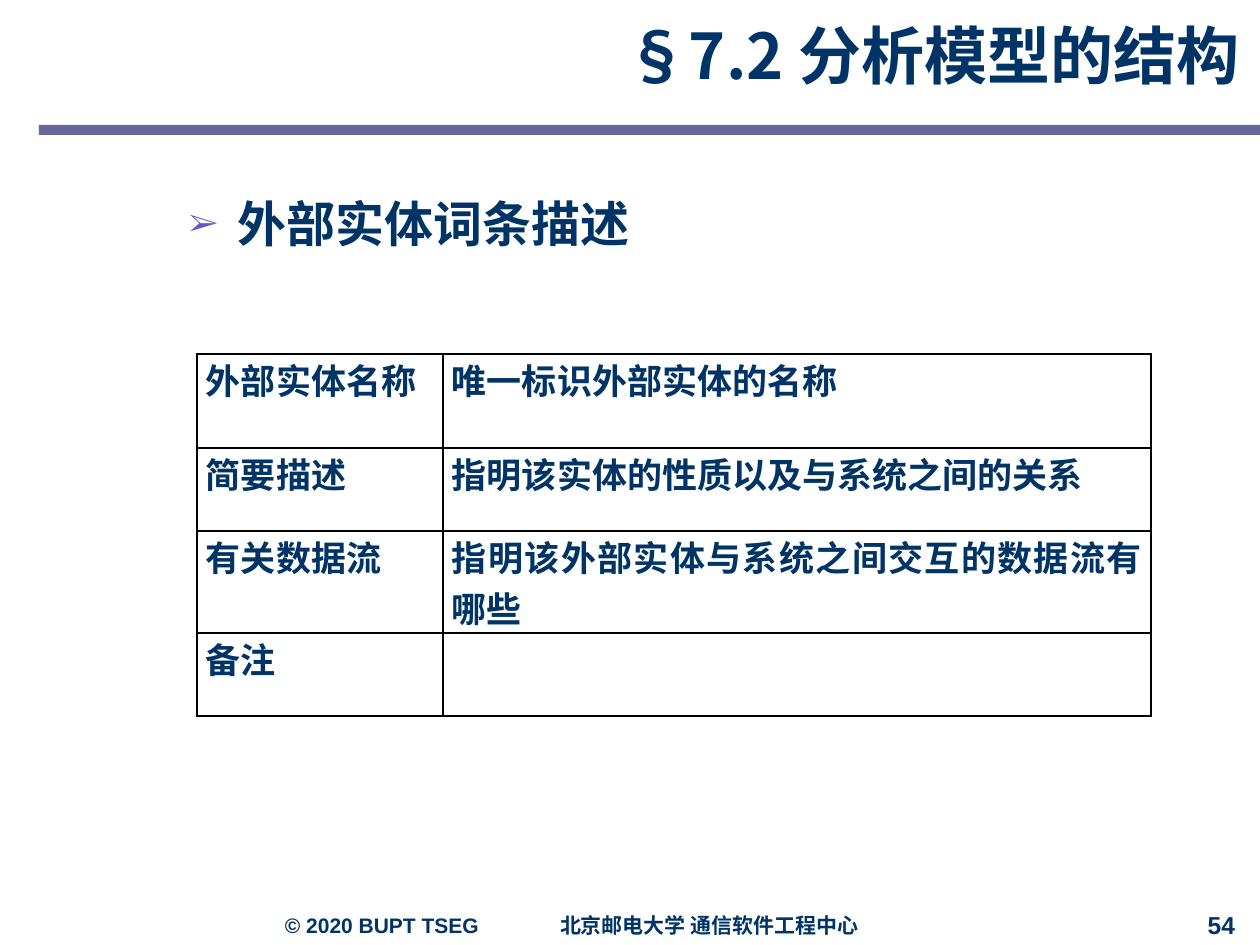
from dataclasses import dataclass

from lxml import etree
from pptx import Presentation
from pptx import util as u
from pptx.dml.color import RGBColor
from pptx.enum import shapes, text
from pptx.oxml.ns import qn

SCALE = u.Inches(1) // 126  # EMU in one px


@dataclass(frozen=True)
class Theme:
    ink: str = "003366"
    bar: str = "666699"
    bullet: str = "6655CD"
    border: str = "000000"
    chinese: str = "Noto Sans CJK SC"
    latin: str = "Arial"
    symbol: str = "Times New Roman"
    title: int = 36
    body: int = 28
    table: int = 20
    number: int = 14
    footer: int = 12


THEME = Theme()
ALIGN = text.PP_ALIGN
ENTRIES = [
    ("外部实体名称", "唯一标识外部实体的名称"),
    ("简要描述", "指明该实体的性质以及与系统之间的关系"),
    ("有关数据流", "指明该外部实体与系统之间交互的数据流有哪些"),
    ("备注", ""),
]


def px(value):
    return u.Emu(value * SCALE)


def add_child(parent, tag, **attributes):
    return etree.SubElement(parent, qn(tag), attributes)


def add_color(parent, color):
    add_child(parent, "a:srgbClr", val=color)


def style(paragraph, size, face=THEME.chinese, align=ALIGN.LEFT, spacing=None):
    paragraph.alignment = align
    paragraph.line_spacing = spacing
    for run in paragraph.runs:
        font = run.font
        font.size, font.bold, font.name = u.Pt(size), True, face
        font.color.rgb = RGBColor.from_string(THEME.ink)
        add_child(font._element, "a:ea", typeface=THEME.chinese)


def set_margins(target, left, top, right, bottom):
    target.margin_left, target.margin_top = px(left), px(top)
    target.margin_right, target.margin_bottom = px(right), px(bottom)


def add_text(slide, box, words, margins=(13, 6, 13, 6),
             anchor=text.MSO_ANCHOR.MIDDLE):
    frame = slide.shapes.add_textbox(*map(px, box)).text_frame
    frame.word_wrap = True
    frame.vertical_anchor = anchor
    set_margins(frame, *margins)
    frame.text = words
    return frame.paragraphs[0]


def add_bar(slide, box):
    bar = slide.shapes.add_shape(shapes.MSO_SHAPE.RECTANGLE, *map(px, box))
    bar.shadow.inherit = False
    bar.fill.solid()
    bar.fill.fore_color.rgb = RGBColor.from_string(THEME.bar)
    bar.line.fill.background()


def add_bullet(paragraph, indent, hanging):
    properties = paragraph._p.get_or_add_pPr()
    properties.set("marL", str(px(indent)))
    properties.set("indent", str(-px(hanging)))
    add_color(add_child(properties, "a:buClr"), THEME.bullet)
    add_child(properties, "a:buSzPct", val="65000")
    add_child(properties, "a:buFont", typeface=THEME.symbol)
    add_child(properties, "a:buChar", char="➢")


def add_tab_stop(paragraph, position):
    tabs = add_child(paragraph._p.get_or_add_pPr(), "a:tabLst")
    add_child(tabs, "a:tab", pos=str(px(position)), algn="l")


def add_borders(cell):
    properties = cell._tc.get_or_add_tcPr()
    for index, side in enumerate(("a:lnL", "a:lnR", "a:lnT", "a:lnB")):
        line = etree.Element(qn(side), w=str(u.Pt(1)))
        add_color(add_child(line, "a:solidFill"), THEME.border)
        properties.insert(index, line)


def add_entry_table(slide, left, top, widths, heights):
    box = (left, top, sum(widths), sum(heights))
    table = slide.shapes.add_table(
        len(heights), len(widths), *map(px, box)).table
    for column, width in zip(table.columns, widths):
        column.width = px(width)
    for row, height, entry in zip(table.rows, heights, ENTRIES):
        row.height = px(height)
        for cell, words in zip(row.cells, entry):
            cell.text = words
            cell.fill.background()
            set_margins(cell, 9, 0, 9, 0)
            style(cell.text_frame.paragraphs[0], THEME.table,
                  align=ALIGN.JUSTIFY)
            add_borders(cell)


def main():
    presentation = Presentation()
    presentation.slide_width, presentation.slide_height = px(1260), px(945)
    slide = presentation.slides.add_slide(presentation.slide_layouts[6])

    # Header
    add_bar(slide, (39, 125, 1221, 10))
    title = add_text(slide, (354, 0, 900, 125), "§7.2 分析模型的结构",
                     margins=(25, 5, 15, 5))
    style(title, THEME.title, align=ALIGN.RIGHT, spacing=0.75)

    # Topic and its table; the third row holds two lines of text
    topic = add_text(slide, (89, 194, 1149, 669), "外部实体词条描述",
                     anchor=text.MSO_ANCHOR.TOP)
    add_bullet(topic, indent=136, hanging=49)
    style(topic, THEME.body, spacing=0.9)
    add_entry_table(slide, 197, 354, widths=(246, 708),
                    heights=(94, 83, 102, 83))

    # Footer
    footer = add_text(slide, (272, 905, 615, 40),
                      "© 2020 BUPT TSEG\t北京邮电大学 通信软件工程中心")
    add_tab_stop(footer, 275)
    style(footer, THEME.footer, THEME.latin)
    number = add_text(slide, (809, 908, 451, 37), "54",
                      margins=(25, 6, 25, 6))
    style(number, THEME.number, THEME.latin, ALIGN.RIGHT, 0.85)

    presentation.save("out.pptx")


if __name__ == "__main__":
    main()
